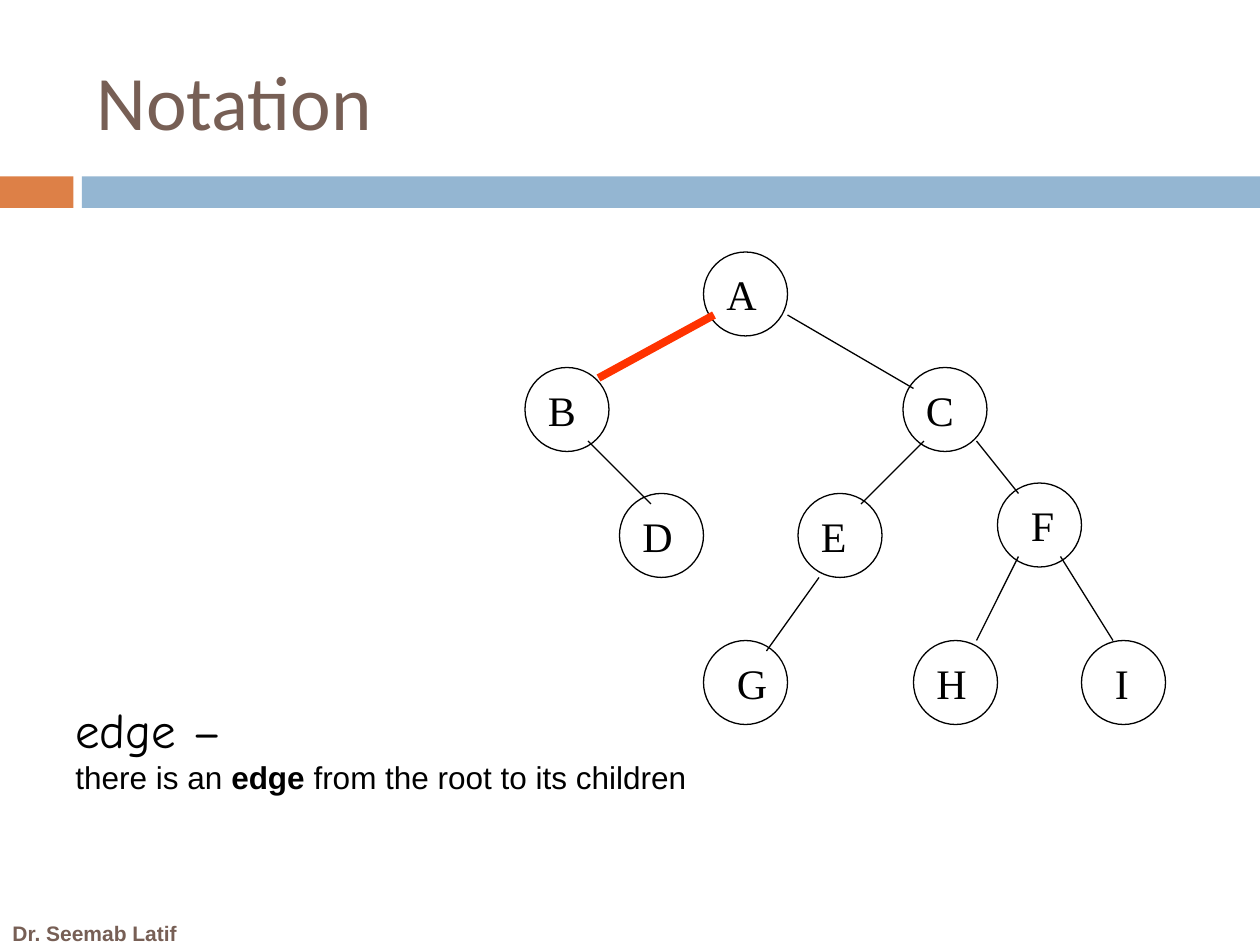
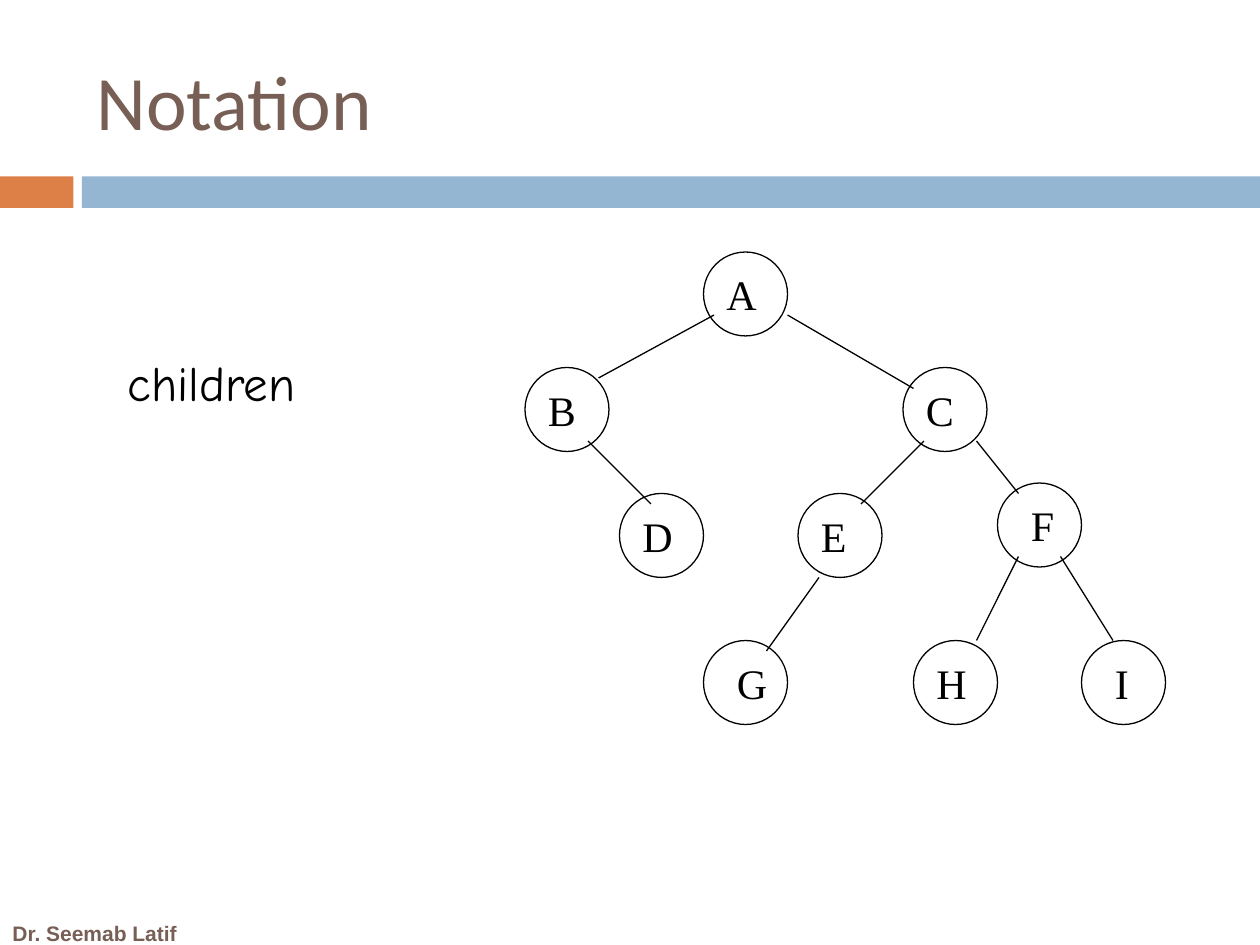
from typing import NamedTuple

import lxml.etree
import pptx
import pptx.dml.color
import pptx.enum.shapes
import pptx.enum.text
import pptx.oxml.ns
import pptx.util

SCALE = 7620
WIDE, HIGH = 1200, 900
BROWN, ORANGE, BLUE = "775F55", "DD8047", "94B6D2"
BLACK, RED = "000000", "FF3300"
SANS, SERIF, HAND, HEAD = "Arial", "Times New Roman", "Comic Neue", "Calibri"
RING = 80
BAND_TOP, BAND_HIGH = 168, 30
TITLE_ONLY = 5


class Band(NamedTuple):
    left: int
    width: int
    fill: str


class Node(NamedTuple):
    name: str
    left: int
    top: int
    width: int
    inset: int = 10


class Edge(NamedTuple):
    ends: str
    x1: int
    y1: int
    x2: int
    y2: int


BANDS = [Band(0, 70, ORANGE), Band(78, WIDE - 78, BLUE)]

NODES = [
    Node("A", 670, 240, 53),
    Node("B", 500, 350, 50),
    Node("C", 860, 350, 50),
    Node("D", 590, 470, 53),
    Node("E", 760, 470, 48),
    Node("F", 950, 460, 47, 20),
    Node("G", 670, 610, 53, 20),
    Node("H", 870, 610, 53),
    Node("I", 1030, 610, 37, 20),
]

EDGES = [
    Edge("AB", 680, 300, 570, 360),
    Edge("AC", 750, 300, 870, 370),
    Edge("BD", 560, 420, 620, 480),
    Edge("CE", 880, 420, 820, 480),
    Edge("CF", 930, 420, 970, 470),
    Edge("EG", 780, 550, 730, 620),
    Edge("FH", 970, 530, 930, 610),
    Edge("FI", 1010, 530, 1060, 610),
]


def px(*sizes: int) -> list:
    return [pptx.util.Emu(size * SCALE) for size in sizes]


def tint(code: str) -> pptx.dml.color.RGBColor:
    return pptx.dml.color.RGBColor.from_string(code)


def style(run, face: str, size: int, color: str = BLACK, bold: bool = False) -> None:
    run.font.name = face
    run.font.size = pptx.util.Pt(size)
    run.font.bold = bold
    run.font.color.rgb = tint(color)


def add_text(shapes, text: str, left: int, top: int, width: int, height: int,
             face: str, size: int):
    frame = shapes.add_textbox(*px(left, top, width, height)).text_frame
    frame.word_wrap = False
    frame.auto_size = pptx.enum.text.MSO_AUTO_SIZE.SHAPE_TO_FIT_TEXT
    frame.text = text
    style(frame.paragraphs[0].runs[0], face, size)
    return frame


def add_band(shapes, band: Band) -> None:
    box = shapes.add_shape(pptx.enum.shapes.MSO_SHAPE.RECTANGLE,
                           *px(band.left, BAND_TOP, band.width, BAND_HIGH))
    box.shadow.inherit = False
    box.fill.solid()
    box.fill.fore_color.rgb = tint(band.fill)
    box.line.fill.background()


def add_node(shapes, node: Node) -> None:
    ring = shapes.add_shape(pptx.enum.shapes.MSO_SHAPE.OVAL,
                            *px(node.left, node.top, RING, RING))
    ring.shadow.inherit = False
    ring.fill.background()
    ring.line.color.rgb = tint(BLACK)
    ring.line.width = pptx.util.Pt(0.75)
    add_text(shapes, node.name, node.left + node.inset, node.top + 10,
             node.width, 60, SERIF, 24)


def add_edge(shapes, edge: Edge, color: str, weight: float) -> None:
    link = shapes.add_connector(pptx.enum.shapes.MSO_CONNECTOR.STRAIGHT,
                                *px(edge.x1, edge.y1, edge.x2, edge.y2))
    link.line.color.rgb = tint(color)
    link.line.width = pptx.util.Pt(weight)
    lxml.etree.SubElement(link._element.spPr, pptx.oxml.ns.qn("a:effectLst"))


def add_tree(shapes, marked: str = "") -> None:
    for node in NODES:
        add_node(shapes, node)
    for edge in EDGES:
        if edge.ends == marked:
            add_edge(shapes, edge, RED, 4.5)
        else:
            add_edge(shapes, edge, BLACK, 0.75)


def add_page(deck, name: str):
    page = deck.slides.add_slide(deck.slide_layouts[TITLE_ONLY])
    for band in BANDS:
        add_band(page.shapes, band)

    foot = add_text(page.shapes, "Dr. Seemab Latif", 0, 870, 220, 38, SANS, 12)
    foot.word_wrap = True
    foot.auto_size = pptx.enum.text.MSO_AUTO_SIZE.NONE
    foot.vertical_anchor = pptx.enum.text.MSO_ANCHOR.MIDDLE
    style(foot.paragraphs[0].runs[0], SANS, 12, BROWN, True)

    title = page.shapes.title
    title.left, title.top, title.width, title.height = px(80, 30, 1070, 130)
    frame = title.text_frame
    frame.text = name
    frame.auto_size = pptx.enum.text.MSO_AUTO_SIZE.NONE
    frame.vertical_anchor = pptx.enum.text.MSO_ANCHOR.MIDDLE
    frame.paragraphs[0].alignment = pptx.enum.text.PP_ALIGN.LEFT
    style(frame.paragraphs[0].runs[0], HEAD, 44, BROWN)
    return page


def edge_page(deck) -> None:
    page = add_page(deck, "Notation")
    add_tree(page.shapes, "AB")
    frame = add_text(page.shapes, "edge –", 60, 660, 606, 104, HAND, 28)
    line = frame.add_paragraph()
    for part, bold in [("there is an ", False), ("edge ", True),
                       ("from the root to its children", False)]:
        run = line.add_run()
        run.text = part
        style(run, SANS, 18, BLACK, bold)


def child_page(deck) -> None:
    page = add_page(deck, "Notation")
    add_tree(page.shapes.add_group_shape().shapes)
    add_text(page.shapes, "children", 110, 330, 200, 68, HAND, 28)


def main() -> None:
    deck = pptx.Presentation()
    deck.slide_width, deck.slide_height = px(WIDE, HIGH)
    edge_page(deck)
    child_page(deck)
    deck.save("out.pptx")


if __name__ == "__main__":
    main()
